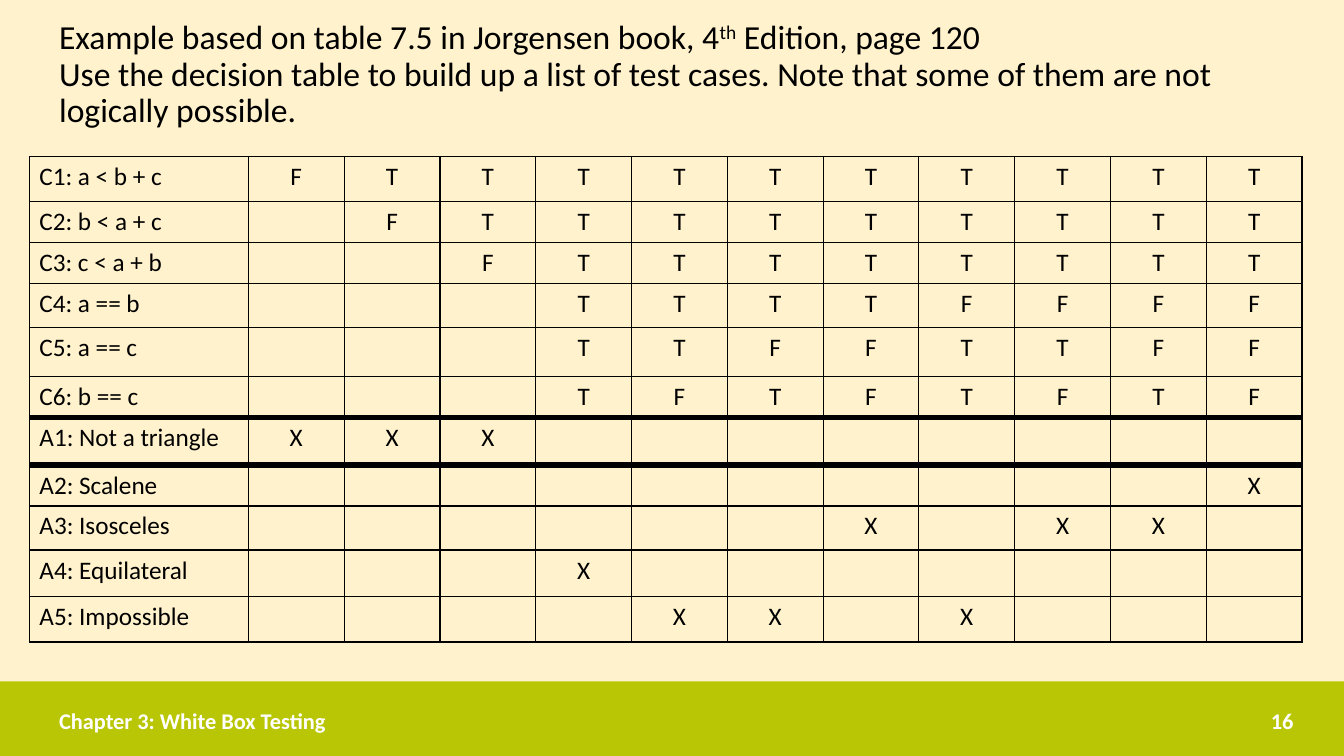
from lxml import etree
from pptx import Presentation, util as u
from pptx.dml.color import RGBColor
from pptx.enum import shapes, text
from pptx.oxml.ns import qn

COLORS = {"background": "FFF2CC", "band": "B8C605", "ink": "000000", "white": "FFFFFF"}
FONT = "Calibri"

TITLE_LINES = [
    [("Example based on table 7.5 in Jorgensen book, 4", False), ("th", True),
     (" Edition, page 120", False)],
    [("Use the decision table to build up a list of test cases. "
      "Note that some of them are not logically possible.", False)],
]
CHAPTER = "Chapter 3: White Box Testing"
PAGE = "16"

# Label, one mark per rule ("-" is an empty cell), row height in cm
DECISIONS = [
    ("C1: a < b + c", "FTTTTTTTTTT", 1.14),
    ("C2: b < a + c", "-FTTTTTTTTT", 1.03),
    ("C3: c < a + b", "--FTTTTTTTT", 1.03),
    ("C4: a == b", "---TTTTFFFF", 1.11),
    ("C5: a == c", "---TTFFTTFF", 1.24),
    ("C6: b == c", "---TFTFTFTF", 1.03),
    ("A1: Not a triangle", "XXX--------", 1.2),
    ("A2: Scalene", "----------X", 1.03),
    ("A3: Isosceles", "------X-XX-", 1.11),
    ("A4: Equilateral", "---X-------", 1.18),
    ("A5: Impossible", "----XX-X---", 1.14),
]
THICK_BELOW = {"C6: b == c", "A1: Not a triangle"}
LABEL_WIDTH, RULE_WIDTH = 5.52, 2.414
THIN, THICK = u.Pt(1), u.Pt(4.5)


def rgb(name):
    return RGBColor.from_string(COLORS[name])


def add_run(paragraph, words, size, color="ink", bold=False):
    run = paragraph.add_run()
    run.text = words
    run.font.name, run.font.size, run.font.bold = FONT, u.Pt(size), bold
    run.font.color.rgb = rgb(color)
    return run


def add_box(slide, left, top, width, height):
    """Add a wrapping, vertically centred text box and return its paragraph."""
    frame = slide.shapes.add_textbox(*map(u.Cm, (left, top, width, height))).text_frame
    frame.word_wrap = True
    frame.vertical_anchor = text.MSO_ANCHOR.MIDDLE
    return frame.paragraphs[0]


def set_borders(cell, widths):
    """Draw cell sides; schema order puts borders ahead of the fill."""
    properties = cell._tc.get_or_add_tcPr()
    for index, (side, width) in enumerate(widths.items()):
        line = etree.Element(qn("a:" + side), w=str(width))
        fill = etree.SubElement(line, qn("a:solidFill"))
        etree.SubElement(fill, qn("a:srgbClr"), val=COLORS["ink"])
        properties.insert(index, line)


def add_title(slide):
    paragraph = add_box(slide, 1.24, 0.69, 31.57, 2.41)
    paragraph.line_spacing = 0.9
    for number, line in enumerate(TITLE_LINES):
        if number:
            paragraph.add_line_break()
        for words, raised in line:
            run = add_run(paragraph, words, 24)
            if raised:
                run.font._element.set("baseline", "30000")


def add_decision_table(slide):
    rules = len(DECISIONS[0][1])
    table = slide.shapes.add_table(
        len(DECISIONS), rules + 1, u.Cm(0.74), u.Cm(3.94),
        u.Cm(LABEL_WIDTH + rules * RULE_WIDTH),
        u.Cm(sum(height for _, _, height in DECISIONS))).table
    table.first_row = table.horz_banding = False
    for number, column in enumerate(table.columns):
        column.width = u.Cm(RULE_WIDTH if number else LABEL_WIDTH)

    above = THIN
    for row, (label, marks, height) in zip(table.rows, DECISIONS):
        row.height = u.Cm(height)
        below = THICK if label in THICK_BELOW else THIN
        for number, (cell, words) in enumerate(zip(row.cells, [label, *marks])):
            cell.fill.background()
            set_borders(cell, {"lnL": THIN, "lnR": THIN, "lnT": above, "lnB": below})
            paragraph = cell.text_frame.paragraphs[0]
            if number:
                paragraph.alignment = text.PP_ALIGN.CENTER
            if words != "-":
                add_run(paragraph, words, 18)
        above = below


def add_footer(slide):
    chapter = add_box(slide, 1.24, 17.65, 15.72, 1.02)
    add_run(chapter, CHAPTER, 16, "white", True)
    page = add_box(slide, 23.93, 17.65, 8.92, 1.02)
    page.alignment = text.PP_ALIGN.RIGHT
    add_run(page, PAGE, 16, "white", True)


def main():
    deck = Presentation()
    deck.slide_width, deck.slide_height = u.Cm(33.87), u.Cm(19.05)
    slide = deck.slides.add_slide(deck.slide_layouts[6])
    slide.background.fill.solid()
    slide.background.fill.fore_color.rgb = rgb("background")

    band = slide.shapes.add_shape(shapes.MSO_SHAPE.RECTANGLE, 0, u.Cm(17.17),
                                  deck.slide_width, u.Cm(1.88))
    band.shadow.inherit = False
    band.fill.solid()
    band.fill.fore_color.rgb = rgb("band")
    band.line.fill.background()

    add_title(slide)
    add_decision_table(slide)
    add_footer(slide)
    deck.save("out.pptx")


if __name__ == "__main__":
    main()
